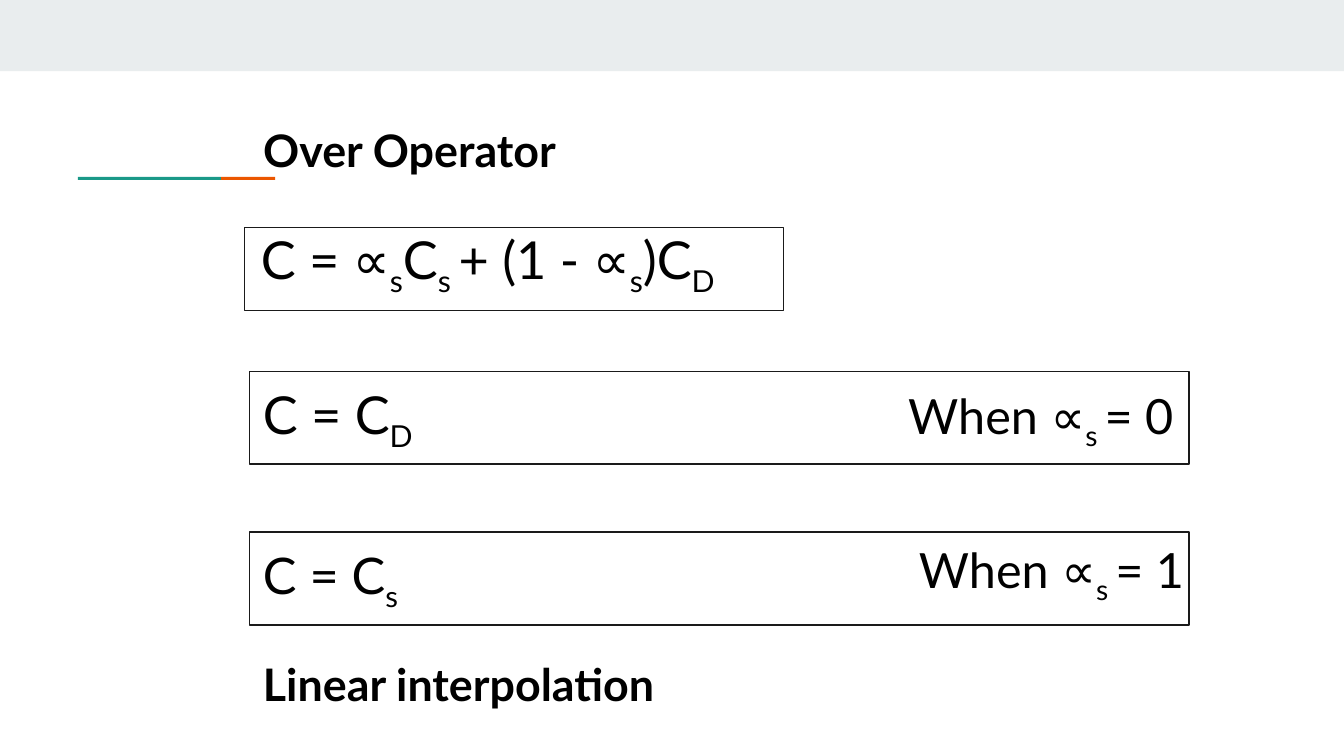
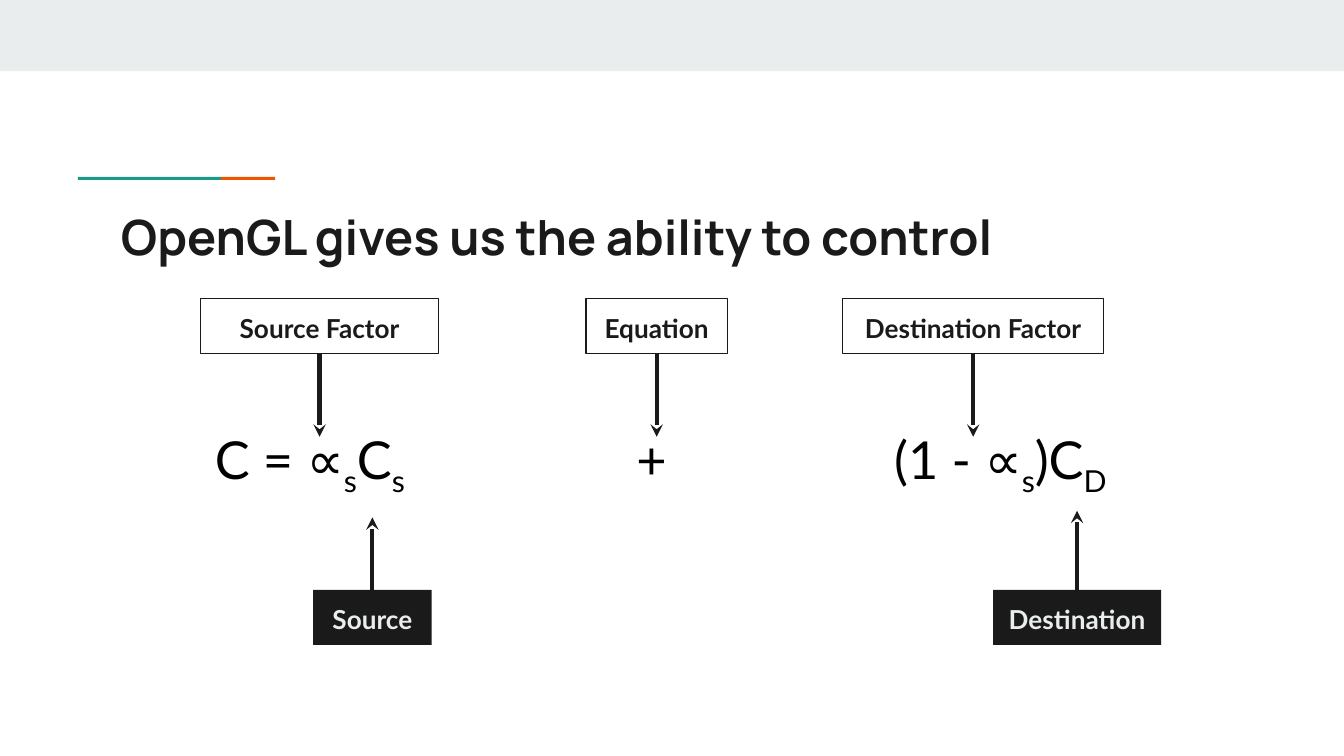
from lxml.etree import SubElement
from pptx import Presentation
from pptx.dml.color import RGBColor
from pptx.enum.shapes import MSO_CONNECTOR as CONN, MSO_SHAPE as SHAPE
from pptx.enum.text import MSO_ANCHOR as ANCHOR, MSO_AUTO_SIZE as AUTO, PP_ALIGN as ALIGN
from pptx.oxml.ns import qn
from pptx.util import Pt

COLORS = {
    "ink": "1A1A1A",
    "black": "000000",
    "band": "E9EDEE",
    "teal": "1A9988",
    "orange": "EB5600",
}
INSET = 7.2


def rgb(name):
    return RGBColor.from_string(COLORS[name])


def points(*values):
    return [Pt(v) for v in values]


def write(sp, text, size=28, font="Lato", color="black", bold=False,
          align=ALIGN.LEFT, anchor=ANCHOR.TOP, wrap=True, tabs=()):
    tf = sp.text_frame
    tf.word_wrap = wrap
    tf.auto_size = AUTO.NONE
    tf.vertical_anchor = anchor
    tf.margin_left = tf.margin_right = tf.margin_top = tf.margin_bottom = Pt(INSET)
    p = tf.paragraphs[0]
    p.alignment = align
    if tabs:
        tab_list = SubElement(p._p.get_or_add_pPr(), qn("a:tabLst"))
        for pos, kind in tabs:
            SubElement(tab_list, qn("a:tab"), pos=str(Pt(pos)), algn=kind)
    for i, part in enumerate(text.split("|")):
        is_subscript = i % 2 == 1
        r = p.add_run()
        r.text = part
        r.font.size = Pt(size)
        r.font.name = font
        r.font.bold = bold
        r.font.color.rgb = rgb(color)
        if is_subscript:
            r._r.get_or_add_rPr().set("baseline", "-25000")


def add_text(s, box, text, **fmt):
    write(s.shapes.add_textbox(*points(*box)), text, **fmt)


def add_rect(s, box, fill=None, line=None):
    sp = s.shapes.add_shape(SHAPE.RECTANGLE, *points(*box))
    sp.shadow.inherit = False
    if fill:
        sp.fill.solid()
        sp.fill.fore_color.rgb = rgb(fill)
    else:
        sp.fill.background()
    if line:
        sp.line.color.rgb = rgb(line)
        sp.line.width = Pt(0.75)
    else:
        sp.line.fill.background()
    return sp


def add_arrow(s, x, y_from, y_to):
    c = s.shapes.add_connector(CONN.STRAIGHT, *points(x, y_from, x, y_to))
    c.line.color.rgb = rgb("ink")
    c.line.width = Pt(2.25)
    sp_pr = c._element.spPr
    SubElement(sp_pr.find(qn("a:ln")), qn("a:tailEnd"), type="stealth")
    SubElement(sp_pr, qn("a:effectLst"))


def add_label(s, text, left, width, top, arrow_to, dark=False):
    height = 29.5
    look = {"fill": "ink"} if dark else {"line": "ink"}
    sp = add_rect(s, (left, top, width, height), **look)
    write(sp, text, size=14, bold=True, align=ALIGN.CENTER,
          color="band" if dark else "ink")
    arrow_from = top if arrow_to < top else top + height
    add_arrow(s, left + width / 2, arrow_from, arrow_to)


def add_slide(prs, title, box, **fmt):
    s = prs.slides.add_slide(prs.slide_layouts[5])
    add_rect(s, (0, 0, 720, 38.2), fill="band")
    add_rect(s, (118.4, 94.8, 29, 1.6), fill="orange")
    add_rect(s, (41.8, 94.8, 76.6, 1.6), fill="teal")
    sp = s.shapes.title
    sp.left, sp.top, sp.width, sp.height = points(*box)
    write(sp, title, bold=True, **fmt)
    return s


def over_operator(prs):
    s = add_slide(prs, "Over Operator", (133.8, 58.3, 183, 44.6), size=24)
    for frame in ((133.8, 285.1, 503.3, 49.7), (133.8, 198.9, 503.3, 49.7),
                  (131, 121.8, 288.7, 44.6)):
        add_rect(s, frame, line="ink")
    mid = {"anchor": ANCHOR.MIDDLE}
    centred = {"anchor": ANCHOR.MIDDLE, "align": ALIGN.CENTER}
    condition = {"size": 26, "wrap": False, **centred}
    add_text(s, (105.8, 113, 311, 55.4), "C = ∝|s|C|s |+ (1 - ∝|s|)C|D", **centred)
    add_text(s, (133.8, 198.9, 370, 49.7), "C = C|D", **mid)
    add_text(s, (133.8, 285.1, 152.6, 49.7), "C = C|s", size=27, **mid)
    add_text(s, (479.5, 196.6, 156.2, 55.4), "When ∝|s |= 0", **condition)
    add_text(s, (485.3, 279.4, 156.2, 55.4), "When ∝|s |= 1", **condition)
    add_text(s, (133.8, 344.7, 244.8, 44.6), "Linear interpolation", size=24, bold=True)


def blend_control(prs):
    s = add_slide(prs, "OpenGL gives us the ability to control",
                  (57.6, 103.7, 605.5, 42.5), size=26, font="Manrope", color="ink")
    add_text(s, (72, 220.3, 563.8, 55.4), "\tC = ∝|s|C|s|\t+\t(1 - ∝|s|)C|D",
             anchor=ANCHOR.MIDDLE, tabs=((36, "l"), (270, "ctr"), (400, "l")))
    for text, left, width in (("Source Factor", 107.4, 127.6),
                              ("Equation", 314, 75.6),
                              ("Destination Factor", 451.4, 139.9)):
        add_label(s, text, left, width, 160, 234)
    for text, left, width, tip in (("Source", 167.8, 63.4, 277.2),
                                   ("Destination", 532, 90, 273.6)):
        add_label(s, text, left, width, 316, tip, dark=True)


def main():
    prs = Presentation()
    prs.slide_width, prs.slide_height = points(720, 405)
    over_operator(prs)
    blend_control(prs)
    prs.save("out.pptx")


if __name__ == "__main__":
    main()
